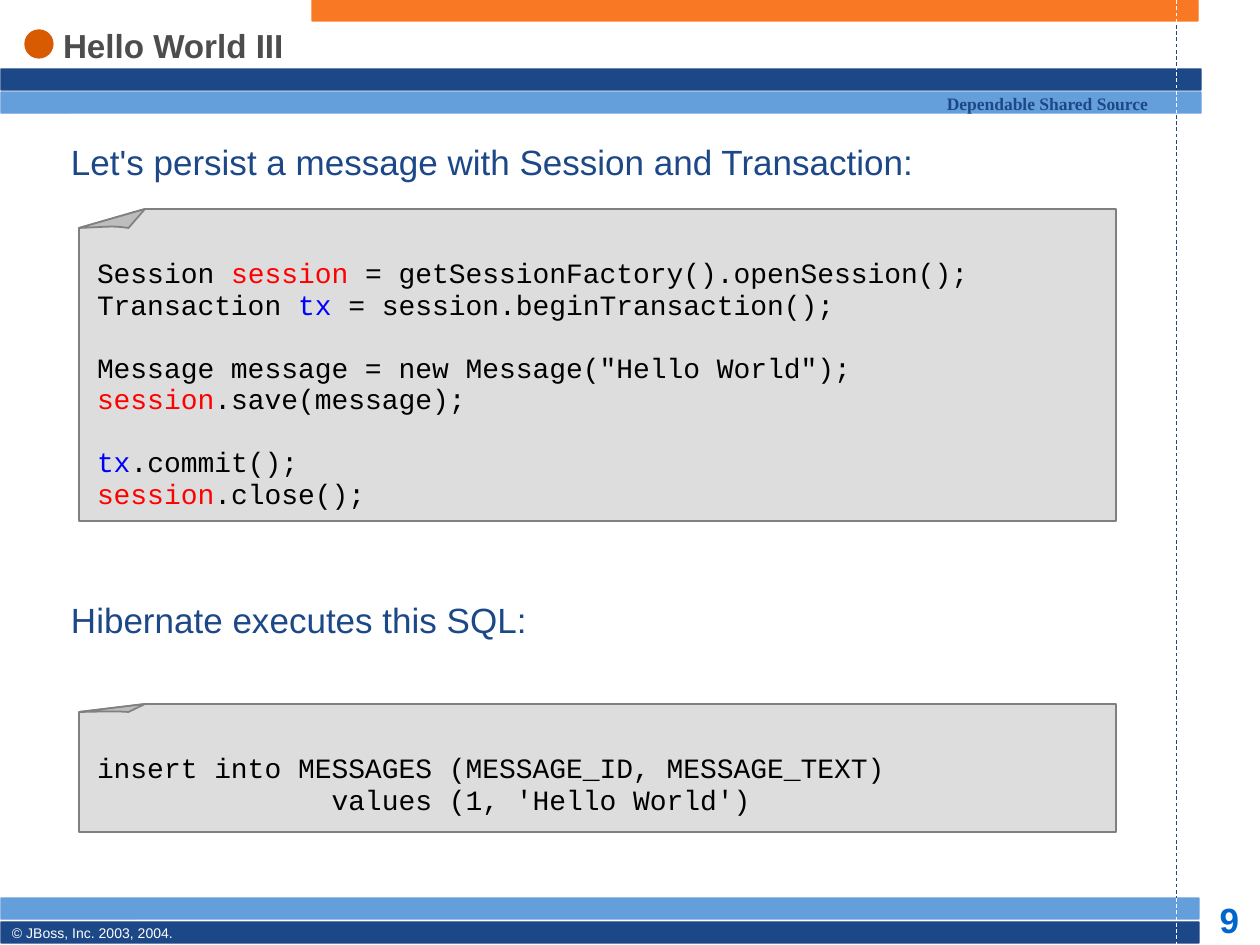
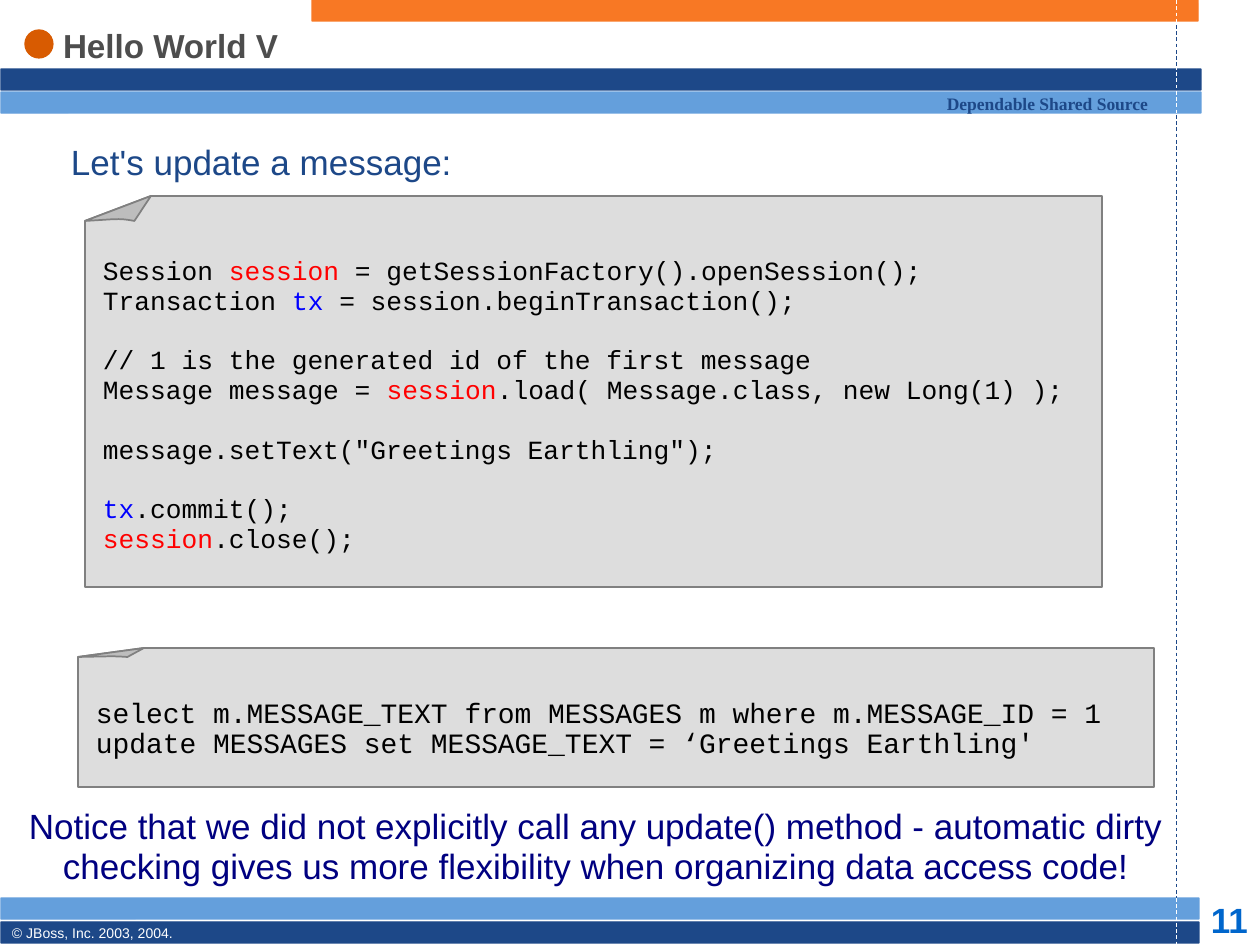
"""Build two code walk-through slides with shared bands, rule and footer."""
from dataclasses import dataclass, field
from typing import NamedTuple

from lxml import etree
from pptx import Presentation
from pptx import util as u
from pptx.dml.color import RGBColor
from pptx.enum import dml, shapes, text
from pptx.oxml import ns


@dataclass(frozen=True)
class Theme:
    """Colours, fonts and type sizes of the deck."""
    navy: str = "1D4888"
    sky: str = "649FDC"
    orange: str = "F87824"
    white: str = "FFFFFF"
    black: str = "000000"
    gray: str = "4D4D4D"
    page: str = "0066CC"
    notice: str = "000080"
    paper: str = "DDDDDD"
    fold: str = "BDBDBD"
    edge: str = "808080"
    dot: str = "D85B01"
    marks: dict = field(default_factory=lambda: {"session": "FF0000", "tx": "0000FF"})
    sans: str = "Arial"
    serif: str = "Times New Roman"
    mono: str = "Courier New"
    head: int = 19
    body: int = 20
    lead: float = 22.3
    tag: int = 10
    foot: int = 8


THEME = Theme()


class Box(NamedTuple):
    """A place on the slide in px."""
    left: int
    top: int
    width: int
    height: int


class Band(NamedTuple):
    """A filled bar or dot."""
    box: Box
    color: str


class Dash(NamedTuple):
    """A stretch of the dashed upright rule."""
    top: int
    end: int
    color: str


class Note(NamedTuple):
    """A sheet of code with a folded corner."""
    box: Box
    fold: int
    pad: int
    size: int
    lead: float
    code: str


class Page(NamedTuple):
    """The content of one slide."""
    title: str
    number: str
    body: list[str]
    notes: list[Note]
    notice: str = ""


RULE = 1176
FOLD = 66
GAP = 419
BANDS = [
    Band(Box(1, 69, 1200, 21), THEME.navy),
    Band(Box(1, 92, 1200, 21), THEME.sky),
    Band(Box(1, 898, 1198, 21), THEME.sky),
    Band(Box(1, 922, 1198, 21), THEME.navy),
    Band(Box(312, 0, 886, 21), THEME.orange),
]
DASHES = [
    Dash(0, 22, THEME.white),
    Dash(25, 66, THEME.navy),
    Dash(66, 115, THEME.white),
    Dash(115, 898, THEME.navy),
    Dash(898, 944, THEME.white),
]

PAGES = [
    Page(
        "Hello World III", "9",
        ["Let's persist a message with Session and Transaction:",
         "Hibernate executes this SQL:"],
        [Note(Box(79, 209, 1037, 312), 19, 49, 16, 18, """\
Session |session| = getSessionFactory().openSession();
Transaction |tx| = session.beginTransaction();

Message message = new Message("Hello World");
|session|.save(message);

|tx|.commit();
|session|.close();"""),
         Note(Box(79, 704, 1037, 128), 8, 49, 16, 18, """\
insert into MESSAGES (MESSAGE_ID, MESSAGE_TEXT)
              values (1, 'Hello World')""")],
    ),
    Page(
        "Hello World V", "11",
        ["Let's update a message:"],
        [Note(Box(85, 196, 1017, 391), 25, 60, 15, 17, """\
Session |session| = getSessionFactory().openSession();
Transaction |tx| = session.beginTransaction();

// 1 is the generated id of the first message
Message message = |session|.load( Message.class, new Long(1) );

message.setText("Greetings Earthling");

|tx|.commit();
|session|.close();"""),
         Note(Box(78, 648, 1076, 139), 9, 51, 16, 17.1, """\
select m.MESSAGE_TEXT from MESSAGES m where m.MESSAGE_ID = 1
update MESSAGES set MESSAGE_TEXT = ‘Greetings Earthling'""")],
        "Notice that we did not explicitly call any update() method - automatic dirty "
        "checking gives us more flexibility when organizing data access code!",
    ),
]


def px(count: float) -> int:
    """Turn px into EMU."""
    return round(count * 914400 / 126)


def rgb(color: str) -> RGBColor:
    """Turn a hex string into a colour."""
    return RGBColor.from_string(color)


def place(shape, box: Box) -> None:
    """Move and size a shape."""
    shape.left, shape.top, shape.width, shape.height = map(px, box)


def write(shape, lines: list[str], *, size: float, color: str, font: str = THEME.sans,
          bold: bool = False, lead: float | None = None, gap: int = 0,
          align=text.PP_ALIGN.LEFT, anchor=text.MSO_ANCHOR.TOP,
          inset: tuple[int, int] = (0, 0)) -> None:
    """Fill a shape with lines; words between bars take their mark colour."""
    frame = shape.text_frame
    frame.word_wrap = True
    frame.auto_size = text.MSO_AUTO_SIZE.NONE
    frame.vertical_anchor = anchor
    frame.margin_left, frame.margin_top = map(px, inset)
    frame.margin_right = frame.margin_bottom = 0
    blank = False
    for spot, line in enumerate(lines):
        if not line:
            blank = True
            continue
        para = frame.paragraphs[0] if spot == 0 else frame.add_paragraph()
        para.alignment = align
        if lead:
            para.line_spacing = u.Pt(lead)
        before = u.Pt(lead) if blank and lead else px(gap) if spot else 0
        para.space_before = before
        blank = False
        props = para._p.get_or_add_pPr()
        props.set("marL", "0")
        props.set("indent", "0")
        etree.SubElement(props, ns.qn("a:buNone"))
        for part, words in enumerate(line.split("|")):
            if words:
                run = para.add_run()
                run.text = words
                run.font.name, run.font.size, run.font.bold = font, u.Pt(size), bold
                run.font.color.rgb = rgb(THEME.marks[words] if part % 2 else color)


def label(slide, box: Box, words: str, **form) -> None:
    """Add a text box."""
    write(slide.shapes.add_textbox(*map(px, box)), [words], **form)


def paint(shape, fill: str, edge: str, width: float) -> None:
    """Set fill and outline, and drop the shadow."""
    shape.shadow.inherit = False
    shape.fill.solid()
    shape.fill.fore_color.rgb = rgb(fill)
    shape.line.color.rgb = rgb(edge)
    shape.line.width = u.Pt(width)


def trace(slide, points: list[tuple[float, float]], fill: str) -> None:
    """Draw a closed outline."""
    spots = [(px(x), px(y)) for x, y in points]
    pen = slide.shapes.build_freeform(*spots[0], scale=1.0)
    pen.add_line_segments(spots[1:], close=True)
    paint(pen.convert_to_shape(), fill, THEME.edge, 1)


def curve(ends: list[tuple[float, float]], steps: int = 12) -> list[tuple[float, float]]:
    """Sample a cubic curve from its four control points."""
    points = []
    for step in range(steps + 1):
        t = step / steps
        parts = ((1 - t) ** 3, 3 * t * (1 - t) ** 2, 3 * t * t * (1 - t), t ** 3)
        points.append(tuple(sum(p * end[axis] for p, end in zip(parts, ends))
                            for axis in (0, 1)))
    return points


def sheet(slide, note: Note) -> None:
    """Draw a code note with its folded corner."""
    left, top, width, height = note.box
    right, base, low = left + width, top + height, top + note.fold
    peak = (left + FOLD, top)
    trace(slide, [(right, base), (left, base), (left, low), peak, (right, top)], THEME.paper)
    curl = curve([(left + FOLD * 0.75, low), (left + FOLD * 0.5, low - note.fold * 0.12),
                  (left + FOLD * 0.5, low - note.fold * 0.07), (left, low)])
    trace(slide, [peak, *curl], THEME.fold)
    area = slide.shapes.add_textbox(*map(px, note.box))
    write(area, note.code.split("\n"), size=note.size, color=THEME.black,
          font=THEME.mono, lead=note.lead, inset=(18, note.pad))


def frame(slide, number: str) -> None:
    """Draw the bands, rule, footer and page number."""
    for band in BANDS:
        bar = slide.shapes.add_shape(shapes.MSO_SHAPE.ROUNDED_RECTANGLE, *map(px, band.box))
        bar.adjustments[0] = 0.01
        paint(bar, band.color, band.color, 0.75)
    dot = slide.shapes.add_shape(shapes.MSO_SHAPE.OVAL, *map(px, Box(25, 30, 28, 28)))
    paint(dot, THEME.dot, THEME.dot, 0.75)
    for dash in DASHES:
        rule = slide.shapes.add_connector(shapes.MSO_CONNECTOR.STRAIGHT, px(RULE),
                                          px(dash.top), px(RULE), px(dash.end))
        rule.line.color.rgb = rgb(dash.color)
        rule.line.width = u.Pt(0.5)
        rule.line.dash_style = dml.MSO_LINE.DASH
        etree.SubElement(rule._element.spPr, ns.qn("a:effectLst"))
    mid = text.MSO_ANCHOR.MIDDLE
    label(slide, Box(12, 921, 255, 24), "© JBoss, Inc. 2003, 2004.",
          size=THEME.foot, color=THEME.white, anchor=mid)
    label(slide, Box(947, 92, 229, 22), "Dependable Shared Source", size=THEME.tag,
          color=THEME.navy, font=THEME.serif, bold=True, anchor=mid)
    label(slide, Box(1199, 900, 61, 40), number, size=THEME.body, color=THEME.page,
          bold=True, align=text.PP_ALIGN.CENTER, anchor=mid)


def build(deck, page: Page) -> None:
    """Add one slide."""
    slide = deck.slides.add_slide(deck.slide_layouts[1])
    title, body = slide.placeholders
    place(title, Box(63, 22, 1092, 46))
    write(title, [page.title], size=THEME.head, color=THEME.gray, bold=True,
          anchor=text.MSO_ANCHOR.MIDDLE)
    place(body, Box(71, 143, 1087, 698))
    write(body, page.body, size=THEME.body, color=THEME.navy, lead=THEME.lead, gap=GAP)
    frame(slide, page.number)
    for note in page.notes:
        sheet(slide, note)
    if page.notice:
        label(slide, Box(24, 808, 1144, 78), page.notice, size=THEME.body,
              color=THEME.notice, lead=THEME.lead, align=text.PP_ALIGN.CENTER)


def main() -> None:
    """Build and save the deck."""
    deck = Presentation()
    deck.slide_width, deck.slide_height = u.Inches(10), u.Inches(7.5)
    for page in PAGES:
        build(deck, page)
    deck.save("out.pptx")


if __name__ == "__main__":
    main()
